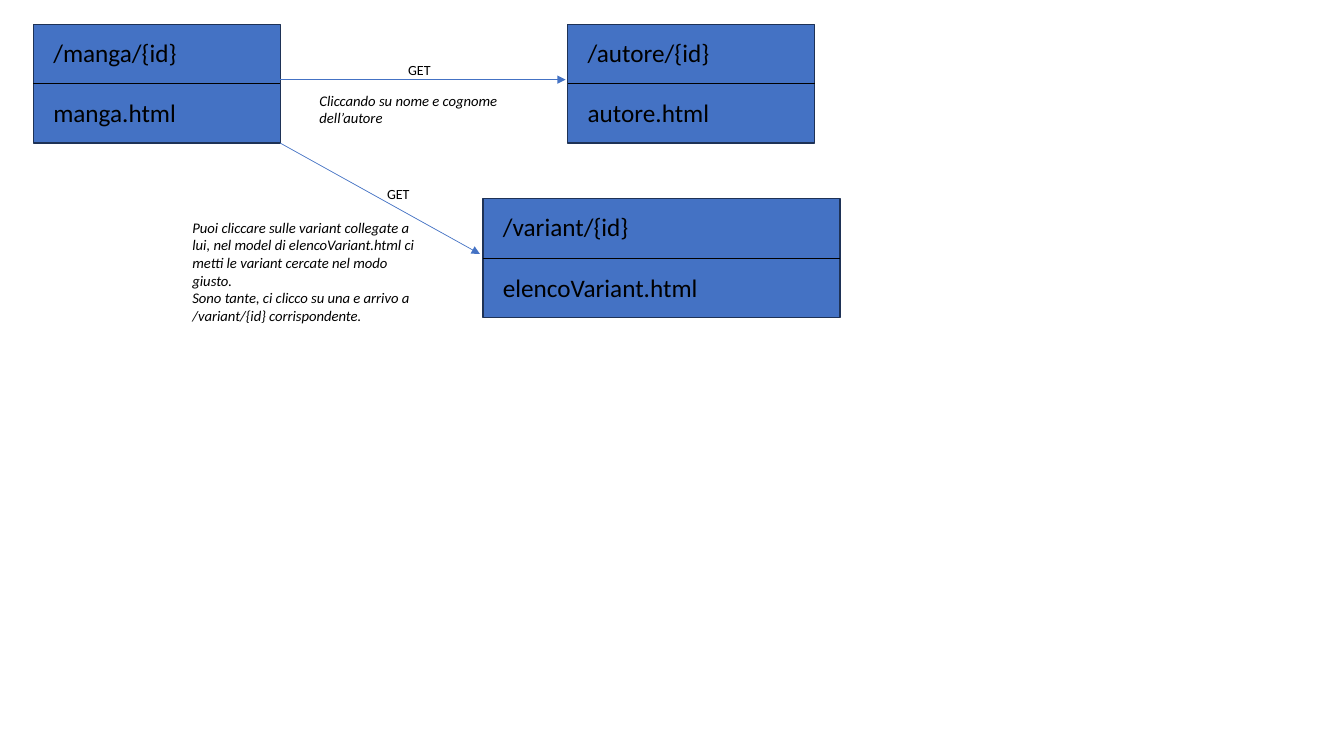
from pptx import Presentation
from pptx.dml.color import RGBColor
from pptx.enum.shapes import MSO_CONNECTOR as CONN, MSO_SHAPE as SHAPE
from pptx.enum.text import MSO_AUTO_SIZE as AUTO
from pptx.oxml.ns import qn
from pptx.util import Inches, Pt
from lxml import etree

BLUE, NAVY, BLACK = "4472C4", "1E3256", "000000"


def rgb(value):
    return RGBColor.from_string(value)


class Diagram:
    font = "Calibri"
    box_height = 1.18

    def __init__(self, slide):
        self.s = slide

    def text(self, x, y, w, h, text, size, italic=False, wrap=True):
        tb = self.s.shapes.add_textbox(Inches(x), Inches(y), Inches(w), Inches(h))
        tf = tb.text_frame
        tf.word_wrap = wrap
        tf.auto_size = AUTO.SHAPE_TO_FIT_TEXT
        p = tf.paragraphs[0]
        p.text = text
        f = p.font
        f.name, f.size, f.italic = self.font, Pt(size), italic
        f.color.rgb = rgb(BLACK)

    def line(self, x1, y1, x2, y2, color, arrow=False):
        c = self.s.shapes.add_connector(
            CONN.STRAIGHT, Inches(x1), Inches(y1), Inches(x2), Inches(y2))
        c.line.color.rgb = rgb(color)
        c.line.width = Pt(0.5)
        if arrow:
            ln = c.line._get_or_add_ln()
            etree.SubElement(ln, qn("a:tailEnd"), type="triangle")
        etree.SubElement(c._element.spPr, qn("a:effectLst"))

    def page(self, x, y, w, route, template):
        """Box with the route above the divider and its template below."""
        h = self.box_height
        sp = self.s.shapes.add_shape(
            SHAPE.RECTANGLE, Inches(x), Inches(y), Inches(w), Inches(h))
        sp.shadow.inherit = False
        sp.fill.solid()
        sp.fill.fore_color.rgb = rgb(BLUE)
        sp.line.color.rgb = rgb(NAVY)
        sp.line.width = Pt(1)
        self.line(x, y + h / 2, x + w, y + h / 2, BLACK)
        for offset, label in ((0.08, route), (0.68, template)):
            self.text(x + 0.1, y + offset, w - 0.2, 0.4, label, 18)

    def request(self, start, end, label_at):
        """Arrow labelled with its HTTP method."""
        self.line(*start, *end, BLUE, arrow=True)
        self.text(*label_at, 0.42, 0.27, "GET", 10, wrap=False)

    def note(self, x, y, w, h, text):
        self.text(x, y, w, h, text, 10.5, italic=True)


def main():
    prs = Presentation()
    prs.slide_width, prs.slide_height = Inches(13.33), Inches(7.5)
    d = Diagram(prs.slides.add_slide(prs.slide_layouts[6]))

    # Pages
    d.page(0.33, 0.24, 2.45, "/manga/{id}", "manga.html")
    d.page(5.63, 0.24, 2.45, "/autore/{id}", "autore.html")
    d.page(4.79, 1.97, 3.54, "/variant/{id}", "elencoVariant.html")

    # From manga to its author
    d.request((2.71, 0.79), (5.61, 0.79), (3.95, 0.56))
    d.note(3.07, 0.86, 2.51, 0.45, "Cliccando su nome e cognome dell’autore")

    # From manga to its variants
    d.request((2.78, 1.42), (4.76, 2.52), (3.74, 1.79))
    d.note(1.81, 2.12, 2.51, 1.16,
           "Puoi cliccare sulle variant collegate a lui, nel model di "
           "elencoVariant.html ci metti le variant cercate nel modo giusto.\n"
           "Sono tante, ci clicco su una e arrivo a /variant/{id} corrispondente.")

    prs.save("out.pptx")


if __name__ == "__main__":
    main()
